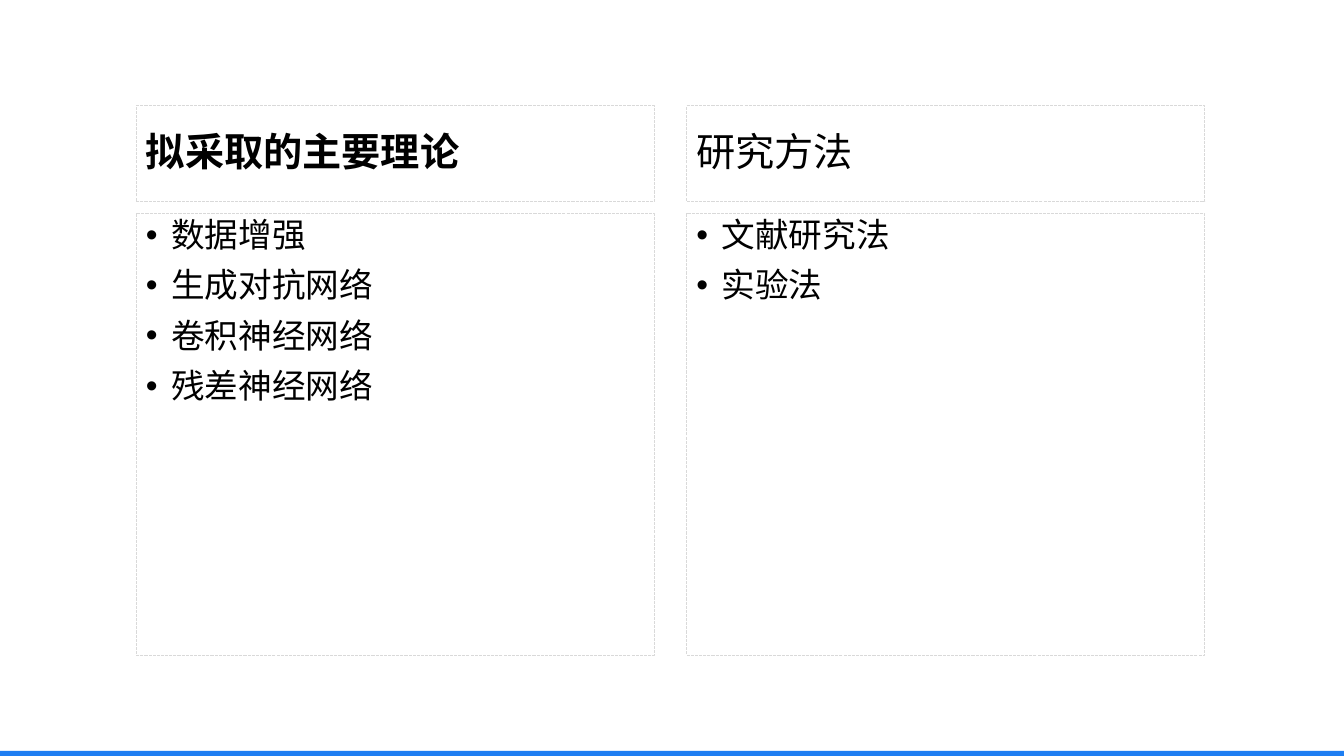
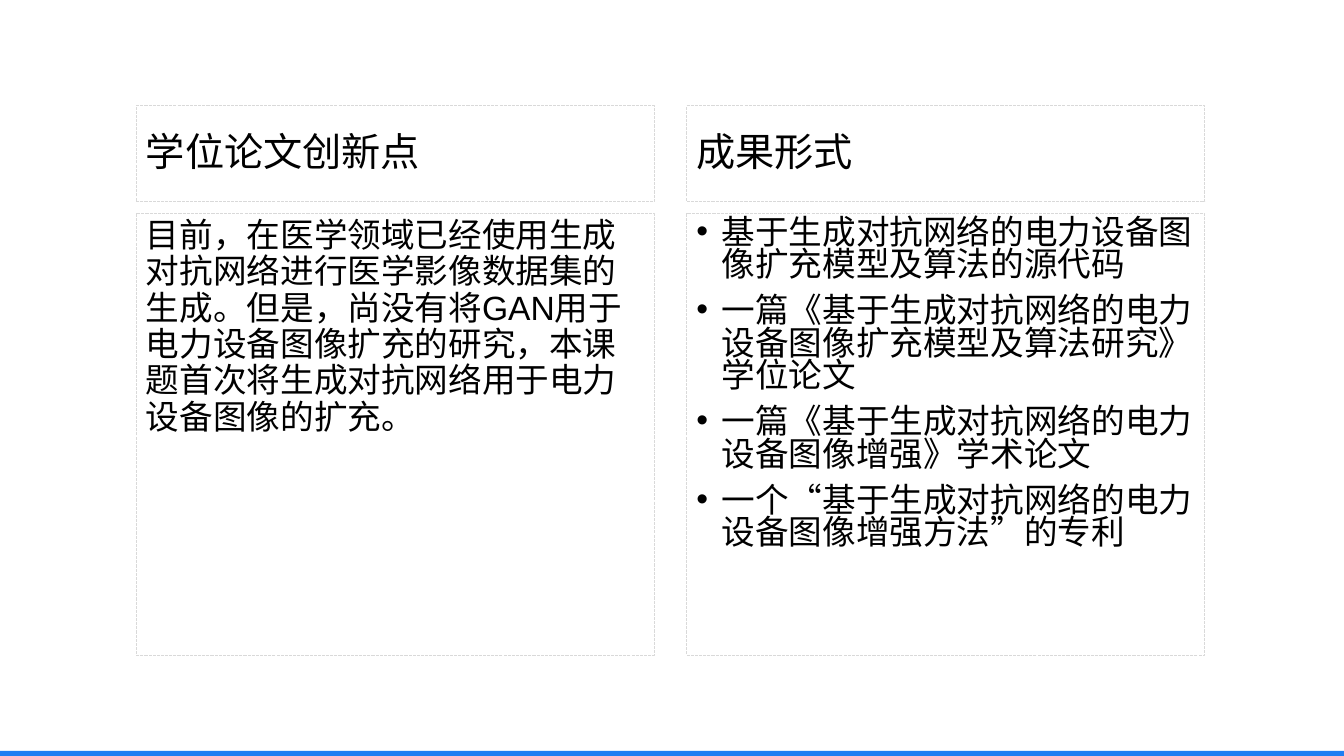
from lxml.etree import SubElement
from pptx import Presentation
from pptx.dml.color import RGBColor
from pptx.enum.dml import MSO_LINE
from pptx.enum.lang import MSO_LANGUAGE_ID as LANG
from pptx.enum.shapes import MSO_SHAPE as SHAPE
from pptx.enum.text import MSO_ANCHOR as ANCHOR, PP_ALIGN as ALIGN
from pptx.oxml.ns import qn
from pptx.util import Inches, Pt

# Shared look
BLUE = RGBColor(0x1E, 0x7E, 0xF2)
GREY = RGBColor(0xD9, 0xD9, 0xD9)
BLACK = RGBColor(0, 0, 0)
FONT = "Arial"
BODY = {"name": FONT, "size": Pt(24), "language_id": LANG.SIMPLIFIED_CHINESE}
HEADING = {**BODY, "size": Pt(28)}

# Slide and column grid, in inches
SLIDE_W, SLIDE_H = 13.33, 7.5
BAR_H = 0.05
LEFT, TOP = 1.35, 1.05
COL_W, COL_H, COL_GAP = 5.14, 5.45, 0.32
HEAD_H, ROW_GAP = 0.95, 0.12
INDENT = 0.25

SLIDES = [
    [
        {"heading": "拟采取的主要理论", "bold": True,
         "items": ["数据增强", "生成对抗网络", "卷积神经网络", "残差神经网络"]},
        {"heading": "研究方法", "items": ["文献研究法", "实验法"]},
    ],
    [
        {"heading": "学位论文创新点", "bullets": False,
         "items": ["目前，在医学领域已经使用生成对抗网络进行医学影像数据集的生成。"
                   "但是，尚没有将GAN用于电力设备图像扩充的研究，"
                   "本课题首次将生成对抗网络用于电力设备图像的扩充。"]},
        {"heading": "成果形式", "spacing": 0.8,
         "items": ["基于生成对抗网络的电力设备图像扩充模型及算法的源代码",
                   "一篇《基于生成对抗网络的电力设备图像扩充模型及算法研究》学位论文",
                   "一篇《基于生成对抗网络的电力设备图像增强》学术论文",
                   "一个“基于生成对抗网络的电力设备图像增强方法”的专利"]},
    ],
]


def add_rect(slide, x, y, w, h):
    sp = slide.shapes.add_shape(SHAPE.RECTANGLE, *map(Inches, (x, y, w, h)))
    sp.shadow.inherit = False
    return sp


def add_bar(slide):
    """Blue band along the bottom edge."""
    sp = add_rect(slide, 0, SLIDE_H - BAR_H, SLIDE_W, BAR_H)
    sp.fill.solid()
    sp.fill.fore_color.rgb = BLUE
    sp.line.fill.background()


def add_bullet(p):
    pPr = p._p.get_or_add_pPr()
    pPr.set("marL", str(Inches(INDENT)))
    pPr.set("indent", str(-Inches(INDENT)))
    SubElement(pPr, qn("a:buFont")).set("typeface", FONT)
    SubElement(pPr, qn("a:buChar")).set("char", "•")


def add_panel(slide, box, lines, style, anchor, spacing=0.9, bullets=False):
    """Dashed frame with one paragraph per line of text."""
    sp = add_rect(slide, *box)
    sp.fill.background()
    sp.line.color.rgb = GREY
    sp.line.width = Pt(0.75)
    sp.line.dash_style = MSO_LINE.SQUARE_DOT
    tf = sp.text_frame
    tf.word_wrap = True
    tf.vertical_anchor = anchor
    for i, line in enumerate(lines):
        p = tf.add_paragraph() if i else tf.paragraphs[0]
        p.alignment = ALIGN.LEFT
        p.line_spacing = spacing
        p.space_before = Pt(10)
        if bullets:
            add_bullet(p)
        r = p.add_run()
        r.text = line
        r.font.color.rgb = BLACK
        for name, value in style.items():
            setattr(r.font, name, value)


def add_column(slide, box, heading, items, bold=False, bullets=True, spacing=0.9):
    """Heading panel above a body panel that fills the rest of the box."""
    x, y, w, h = box
    body_top = HEAD_H + ROW_GAP
    add_panel(slide, (x, y, w, HEAD_H), [heading],
              {**HEADING, "bold": bold}, ANCHOR.MIDDLE)
    add_panel(slide, (x, y + body_top, w, h - body_top), items,
              BODY, ANCHOR.TOP, spacing, bullets)


def add_comparison(prs, columns):
    slide = prs.slides.add_slide(prs.slide_layouts[6])
    add_bar(slide)
    for i, column in enumerate(columns):
        x = LEFT + i * (COL_W + COL_GAP)
        add_column(slide, (x, TOP, COL_W, COL_H), **column)


def main():
    prs = Presentation()
    prs.slide_width, prs.slide_height = Inches(SLIDE_W), Inches(SLIDE_H)
    for columns in SLIDES:
        add_comparison(prs, columns)
    prs.save("out.pptx")


if __name__ == "__main__":
    main()
